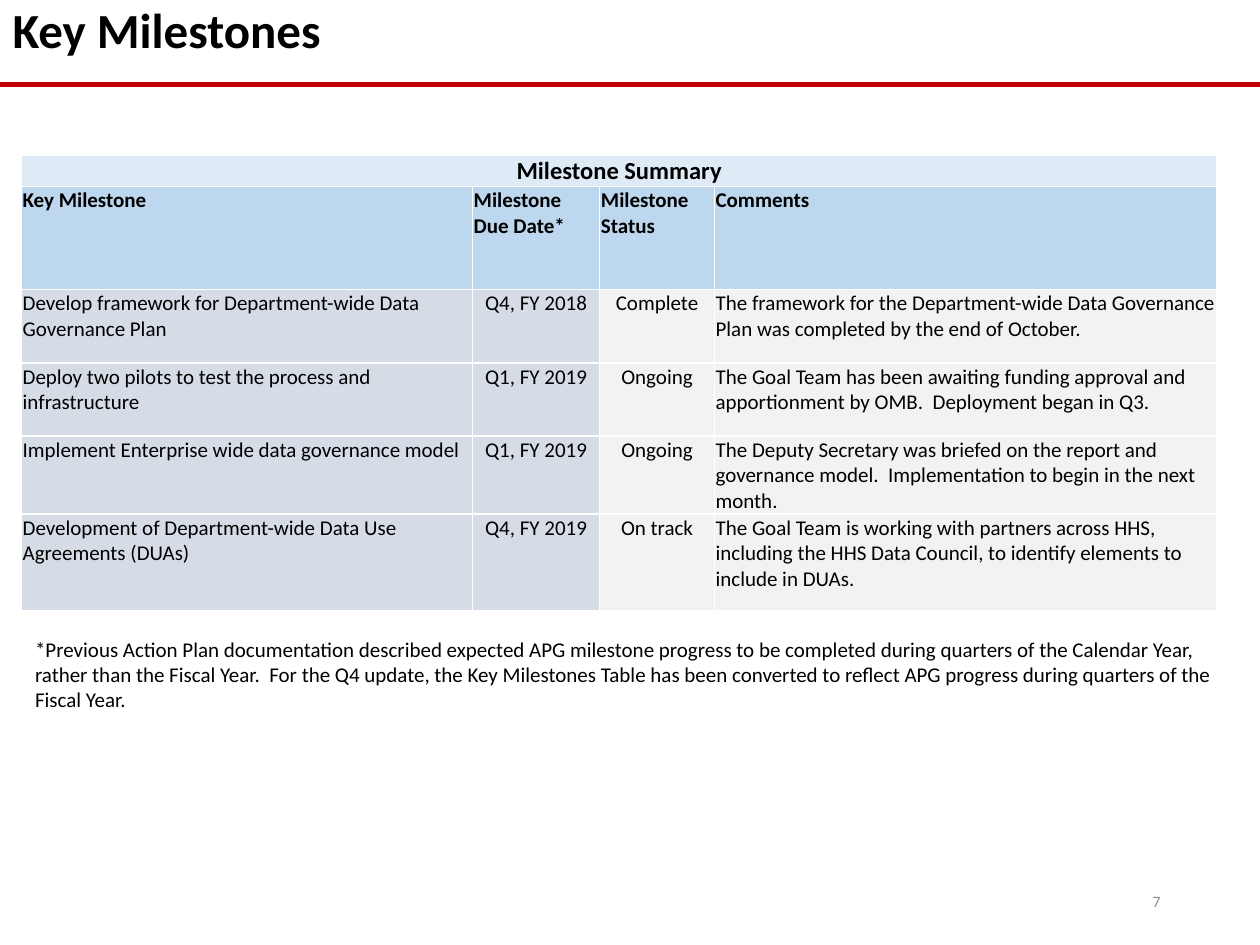
from pptx import Presentation
from pptx.dml.color import RGBColor as RGB
from pptx.enum.shapes import MSO_CONNECTOR as LINE
from pptx.enum.text import MSO_ANCHOR as ANCHOR, PP_ALIGN as ALIGN
from pptx.oxml.ns import qn
from pptx.util import Inches, Pt
from lxml.etree import SubElement

HUES = {
    "text": "000000", "page": "8C8C8C", "rule": "C00000", "edge": "FFFFFF",
    "banner": "DEEBF7", "head": "BDD7EE", "plan": "D6DCE5", "state": "F2F2F2",
}
COLS = [3.58, 1.01, 0.91, 3.99]
ROWS = [0.25, 0.82, 0.58, 0.58, 0.62, 0.77]
HEADS = ["Key Milestone", "Milestone Due Date*", "Milestone Status", "Comments"]
GOALS = [
    ["Develop framework for Department-wide Data Governance Plan",
     "Q4, FY 2018", "Complete",
     "The framework for the Department-wide Data Governance Plan was "
     "completed by the end of October."],
    ["Deploy two pilots to test the process and infrastructure",
     "Q1, FY 2019", "Ongoing",
     "The Goal Team has been awaiting funding approval and apportionment "
     "by OMB.  Deployment began in Q3."],
    ["Implement Enterprise wide data governance model",
     "Q1, FY 2019", "Ongoing",
     "The Deputy Secretary was briefed on the report and governance model.  "
     "Implementation to begin in the next month."],
    ["Development of Department-wide Data Use Agreements (DUAs)",
     "Q4, FY 2019", "On track",
     "The Goal Team is working with partners across HHS, including the HHS "
     "Data Council, to identify elements to include in DUAs."],
]
NOTE = [
    "*Previous Action Plan documentation described expected APG milestone "
    "progress to be completed during quarters of the Calendar Year,",
    "rather than the Fiscal Year.  For the Q4 update, the Key Milestones Table "
    "has been converted to reflect APG progress during quarters of the",
    "Fiscal Year.",
]


def write(frame, *lines, size=12, bold=False, hue="text", align=ALIGN.LEFT,
          space=None):
    for i, line in enumerate(lines):
        para = frame.paragraphs[0] if i == 0 else frame.add_paragraph()
        para.alignment = align
        if space:
            para.line_spacing = space
        run = para.add_run()
        run.text = line
        font = run.font
        font.name, font.size, font.bold = "Calibri", Pt(size), bold
        font.color.rgb = RGB.from_string(HUES[hue])


def add_title(slide, text):
    title = slide.shapes.title
    title.left, title.top = Inches(0), Inches(0)
    title.width, title.height = Inches(10), Inches(0.92)
    title.text_frame.vertical_anchor = ANCHOR.TOP
    write(title.text_frame, text, size=28, bold=True, space=0.9)


def add_rule(slide, y):
    rule = slide.shapes.add_connector(
        LINE.STRAIGHT, Inches(0), Inches(y), Inches(10), Inches(y))
    rule.line.color.rgb = RGB.from_string(HUES["rule"])
    rule.line.width = Pt(3)
    SubElement(rule._element.spPr, qn("a:effectLst"))


def add_text(slide, box, *lines, wrap=True, anchor=ANCHOR.TOP, **style):
    frame = slide.shapes.add_textbox(*map(Inches, box)).text_frame
    frame.word_wrap = wrap
    frame.vertical_anchor = anchor
    write(frame, *lines, **style)


def fill_cell(cell, text, fill, **style):
    cell.margin_left = cell.margin_right = cell.margin_top = Inches(0.01)
    cell.margin_bottom = Inches(0)
    props = cell._tc.get_or_add_tcPr()
    for side in ("a:lnL", "a:lnR", "a:lnT", "a:lnB"):
        edge = SubElement(props, qn(side), w=str(Pt(1)))
        paint = SubElement(edge, qn("a:solidFill"))
        SubElement(paint, qn("a:srgbClr"), val=HUES["edge"])
    cell.fill.solid()
    cell.fill.fore_color.rgb = RGB.from_string(HUES[fill])
    if text:
        write(cell.text_frame, text, **style)


def add_grid(slide, left, top):
    grid = slide.shapes.add_table(
        len(ROWS), len(COLS), Inches(left), Inches(top),
        Inches(sum(COLS)), Inches(sum(ROWS))).table
    for col, width in zip(grid.columns, COLS):
        col.width = Inches(width)
    for row, height in zip(grid.rows, ROWS):
        row.height = Inches(height)

    # Banner across all columns
    grid.cell(0, 0).merge(grid.cell(0, len(COLS) - 1))
    for c in range(len(COLS)):
        fill_cell(grid.cell(0, c), "" if c else "Milestone Summary", "banner",
                  size=14, bold=True, align=ALIGN.CENTER)

    # Column heads, then one row for each milestone
    for c, head in enumerate(HEADS):
        fill_cell(grid.cell(1, c), head, "head", bold=True)
    for r, goal in enumerate(GOALS, 2):
        for c, text in enumerate(goal):
            fill_cell(grid.cell(r, c), text, "plan" if c < 2 else "state",
                      align=ALIGN.CENTER if c in (1, 2) else ALIGN.LEFT)


def main():
    deck = Presentation()
    deck.slide_width, deck.slide_height = Inches(10), Inches(7.5)
    slide = deck.slides.add_slide(deck.slide_layouts[5])
    add_title(slide, "Key Milestones")
    add_text(slide, (7.06, 6.95, 2.25, 0.4), "7", size=9, hue="page",
             align=ALIGN.RIGHT, anchor=ANCHOR.MIDDLE)
    add_rule(slide, 0.67)
    add_grid(slide, 0.17, 1.23)
    add_text(slide, (0.18, 5, 9.68, 1.51), *NOTE, wrap=False)
    deck.save("out.pptx")


if __name__ == "__main__":
    main()
